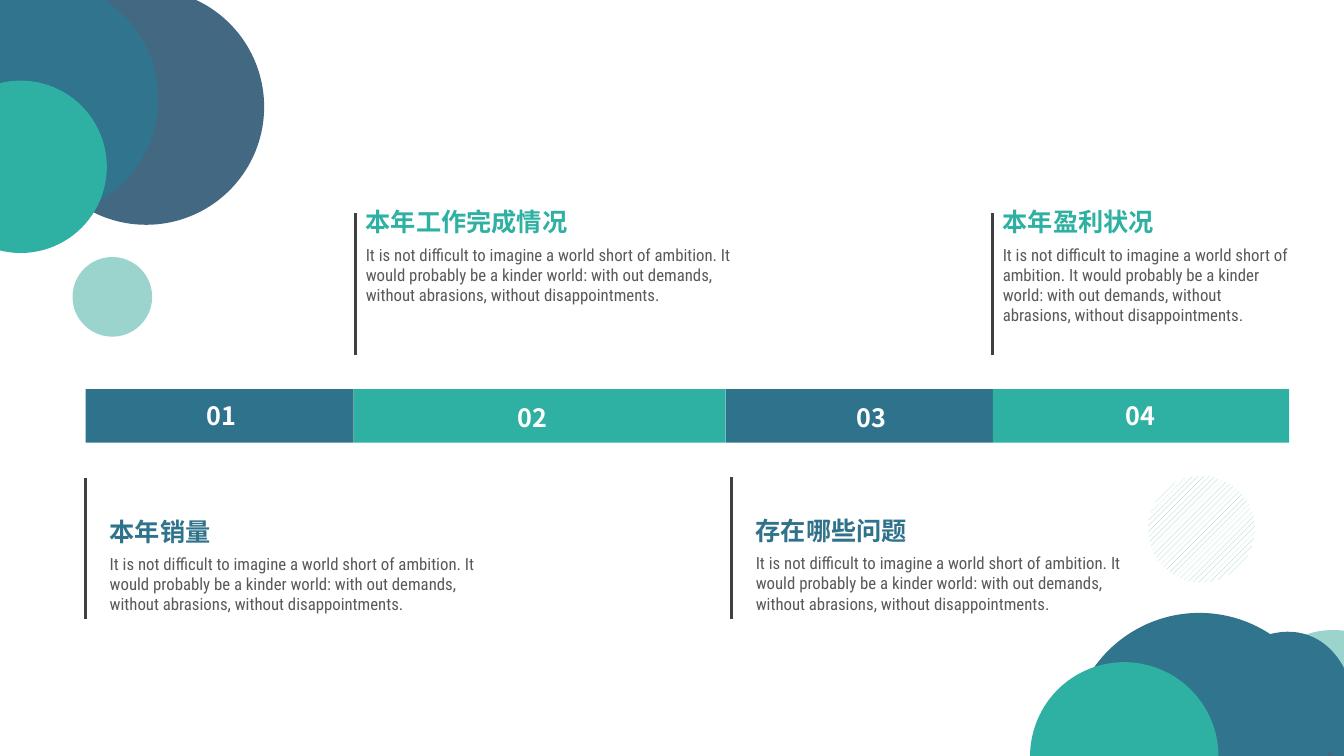
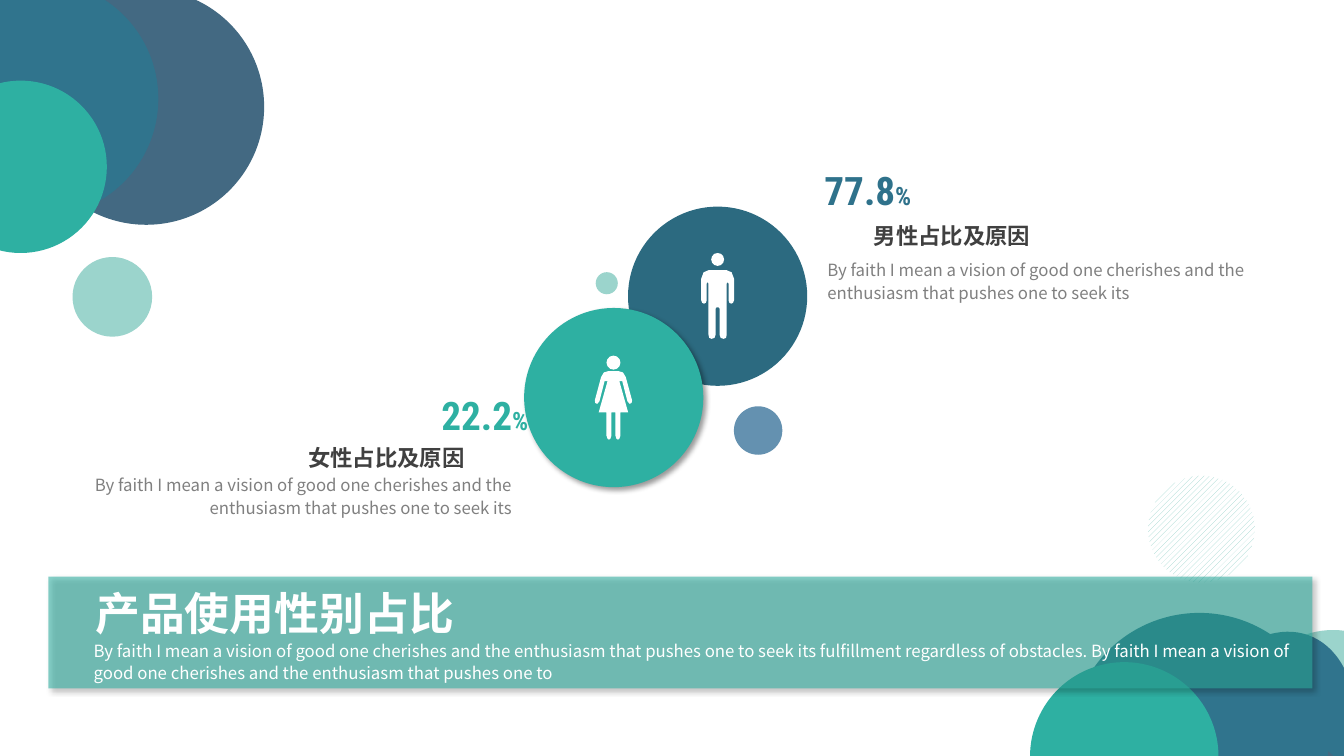
from lxml.etree import SubElement
from pptx import Presentation
from pptx.dml.color import RGBColor
from pptx.enum.dml import MSO_PATTERN
from pptx.enum.shapes import MSO_CONNECTOR, MSO_SHAPE
from pptx.enum.text import PP_ALIGN
from pptx.oxml.ns import qn
from pptx.util import Pt

COLORS = {
    "teal": "2EB0A2",
    "ocean": "30748D",
    "blue": "2F728B",
    "deep": "2C6A80",
    "slate": "436982",
    "steel": "6491B0",
    "mint": "9BD4CC",
    "dark": "404040",
    "body": "595959",
    "gray": "808080",
    "white": "FFFFFF",
}
CONDENSED = "Roboto Condensed"
SANS = "Noto Sans CJK SC"
NUMERAL = "Noto Sans CJK JP"

CORNER_CIRCLES = [
    (51.8, 183.6, 56.9, "mint"),
    (20.2, -7.9, 168.5, "slate"),
    (-55.4, -13.7, 168.5, "ocean"),
    (-46.8, 57.6, 123.1, "teal"),
    (892.8, 450, 118.8, "mint"),
]
LOWER_CIRCLES = [
    (797, 514.8, 184.3, "slate"),
    (764.6, 437.8, 184.3, "ocean"),
    (735.8, 473, 134.6, "teal"),
]
MAN = [
    (6.5, 0), (10, 1.5), (11.7, 6), (11.7, 21.5), (11, 23.3), (9.7, 23.9),
    (8.4, 23.3), (7.8, 21.5), (7.8, 9.4), (7.1, 8.6), (6.5, 9.4), (6.5, 46),
    (6, 48.3), (4.3, 49), (2.2, 48.3), (1.4, 46), (1.4, 27.4), (0.8, 26.6),
]
WOMAN = [
    (3.4, 0), (6.8, 1), (8.8, 4.3), (13.3, 20.9), (13, 22.8), (11.6, 23.5),
    (10, 21.6), (6.3, 7.2), (4.2, 7.2), (10.5, 29.5), (5, 29.5), (5, 46.1),
    (4.2, 48.4), (3.2, 49), (2.2, 48.4), (1.4, 46.1), (1.4, 29.5),
]
AMBITION = (
    "It is not difficult to imagine a world short of ambition. "
    "It would probably be a kinder world: with out demands, "
    "without abrasions, without disappointments."
)
FAITH = "By faith I mean a vision of good one cherishes and the enthusiasm that pushes one to"


def rgb(color):
    return RGBColor.from_string(COLORS[color])


class Deck:
    def __init__(self):
        self.presentation = Presentation()
        self.presentation.slide_width = Pt(960)
        self.presentation.slide_height = Pt(540)
        self.shapes = None

    def new_slide(self):
        layout = self.presentation.slide_layouts[6]
        self.shapes = self.presentation.slides.add_slide(layout).shapes
        for circle in CORNER_CIRCLES:
            self.circle(*circle)
        cloud = self.shape(MSO_SHAPE.OVAL, 820.1, 474.5, 170.6, 118.8, "ocean")
        cloud.rotation = 110.1
        for circle in LOWER_CIRCLES:
            self.circle(*circle)
        hatched = self.circle(820.1, 339.8, 76.3, "mint")
        hatched.fill.patterned()
        hatched.fill.pattern = MSO_PATTERN.WIDE_UPWARD_DIAGONAL
        hatched.fill.fore_color.rgb = rgb("mint")
        hatched.fill.back_color.rgb = rgb("white")

    def paint(self, shape, color):
        shape.shadow.inherit = False
        shape.fill.solid()
        shape.fill.fore_color.rgb = rgb(color)
        shape.line.fill.background()
        return shape

    def shape(self, preset, left, top, width, height, color):
        shape = self.shapes.add_shape(preset, Pt(left), Pt(top), Pt(width), Pt(height))
        return self.paint(shape, color)

    def circle(self, left, top, size, color):
        return self.shape(MSO_SHAPE.OVAL, left, top, size, size, color)

    def shadow(self, shape):
        effects = shape.element.spPr.find(qn("a:effectLst"))
        outer = SubElement(effects, qn("a:outerShdw"), blurRad=str(Pt(4)),
                           dist=str(Pt(3)), dir="2700000", algn="tl", rotWithShape="0")
        black = SubElement(outer, qn("a:srgbClr"), val="000000")
        SubElement(black, qn("a:alpha"), val="40000")

    def opacity(self, shape, percent):
        color = shape.element.spPr.find(qn("a:solidFill")).find(qn("a:srgbClr"))
        SubElement(color, qn("a:alpha"), val=str(percent * 1000))

    def rule(self, x, top, bottom):
        rule = self.shapes.add_connector(MSO_CONNECTOR.STRAIGHT, Pt(x), Pt(top), Pt(x), Pt(bottom))
        rule.line.color.rgb = rgb("dark")
        rule.line.width = Pt(2.25)
        SubElement(rule.element.spPr, qn("a:effectLst"))

    def figure(self, center, top, half, head_top, head_size):
        outline = half + [(-x, y) for x, y in reversed(half)]
        points = [(Pt(center + x), Pt(top + y)) for x, y in outline]
        builder = self.shapes.build_freeform(*points[0])
        builder.add_line_segments(points[1:], close=True)
        self.paint(builder.convert_to_shape(), "white")
        self.circle(center - head_size / 2, head_top, head_size, "white")

    def text(self, left, top, width, height, words, size, color, font=CONDENSED,
             bold=False, align=PP_ALIGN.LEFT, wrap=True, spacing=None, suffix=None):
        box = self.shapes.add_textbox(Pt(left), Pt(top), Pt(width), Pt(height))
        box.text_frame.word_wrap = wrap
        paragraph = box.text_frame.paragraphs[0]
        paragraph.alignment = align
        if spacing:
            paragraph.line_spacing = Pt(spacing)
        style = paragraph.font
        style.size = Pt(size)
        style.bold = bold
        style.color.rgb = rgb(color)
        style.name = font
        SubElement(style._element, qn("a:ea"), typeface=SANS)
        paragraph.add_run().text = words
        if suffix:
            unit = paragraph.add_run()
            unit.text = suffix
            unit.font.size = Pt(18)

    def heading(self, left, top, width, height, words, size, color):
        self.text(left, top, width, height, words, size, color, bold=True,
                  align=PP_ALIGN.CENTER, wrap=False)

    def faith(self, left, top, width, words, color, align=PP_ALIGN.LEFT):
        self.text(left, top, width, 39.6, words, 12, color, SANS, align=align, spacing=16)

    def topic(self, rule_x, left, top, rule_top, width, title, color):
        self.rule(rule_x, rule_top, rule_top + 101.2)
        self.text(left, top, 194.4, 28.8, title, 18, color, bold=True)
        self.text(left, top + 27, width, 51.1, AMBITION, 12, "body")

    def share(self, value, value_at, color, title, title_at, text_at, align):
        self.text(*value_at, 85.7, 41, value, 28, color, bold=True, suffix="%")
        self.heading(*title_at, 127.4, 26.6, title, 16, "dark")
        self.faith(*text_at, 336.2, FAITH + " seek its", "gray", align)


def yearly_review(deck):
    deck.new_slide()
    edges = [61.2, 252.7, 518.4, 709.2, 920.9]
    numerals = [(140.4, 282.2), (362.9, 283.7), (604.8, 283.7), (797, 282.2)]
    for index, (left, right) in enumerate(zip(edges, edges[1:])):
        color = ("blue", "teal")[index % 2]
        deck.shape(MSO_SHAPE.RECTANGLE, left, 278, right - left, 38.2, color)
        deck.text(*numerals[index], 45.4, 29.5, f"{index + 1:02}", 18, "white", NUMERAL, bold=True)
    deck.topic(61.2, 71.3, 365, 341.3, 291.6, "本年销量", "blue")
    deck.topic(254.2, 254.2, 144, 152.4, 291.6, "本年工作完成情况", "teal")
    deck.topic(522.7, 532.8, 364.4, 341, 291.6, "存在哪些问题", "blue")
    deck.topic(709.2, 709.2, 144, 152.2, 218.2, "本年盈利状况", "teal")


def gender_split(deck):
    deck.new_slide()
    deck.circle(448.6, 147.6, 128, "deep")
    deck.shadow(deck.circle(374.4, 220, 128, "teal"))
    deck.figure(512.6, 193, MAN, 180.7, 9.2)
    deck.figure(438.2, 265, WOMAN, 254, 10)
    deck.share("77.8", (581.8, 115.2), "blue", "男性占比及原因", (616.3, 154.8),
               (583.9, 180.7), PP_ALIGN.LEFT)
    deck.share("22.2", (308.2, 275.8), "teal", "女性占比及原因", (212.4, 313.9),
               (36.7, 334.1), PP_ALIGN.RIGHT)
    deck.circle(524.2, 290.2, 34.6, "steel")
    deck.circle(425.5, 194.4, 15.8, "mint")
    band = deck.shape(MSO_SHAPE.RECTANGLE, 34.6, 411.8, 902.9, 79.9, "teal")
    deck.opacity(band, 57)
    deck.shadow(band)
    deck.heading(59.8, 414.7, 272.9, 46.1, "产品使用性别占比", 32, "white")
    summary = f"{FAITH} seek its fulfillment regardless of obstacles. {FAITH}"
    deck.faith(59.8, 452.2, 877.7, summary, "white")


def main():
    deck = Deck()
    yearly_review(deck)
    gender_split(deck)
    deck.presentation.save("out.pptx")


if __name__ == "__main__":
    main()
